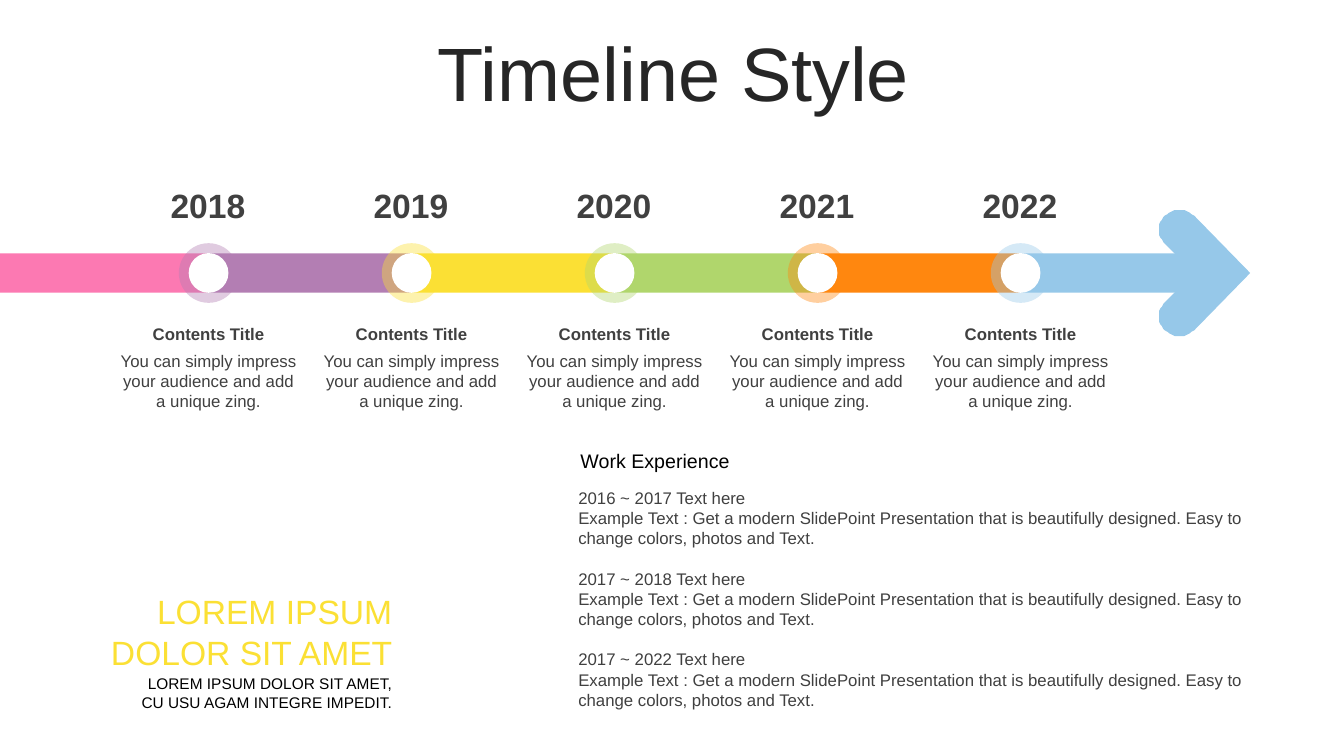
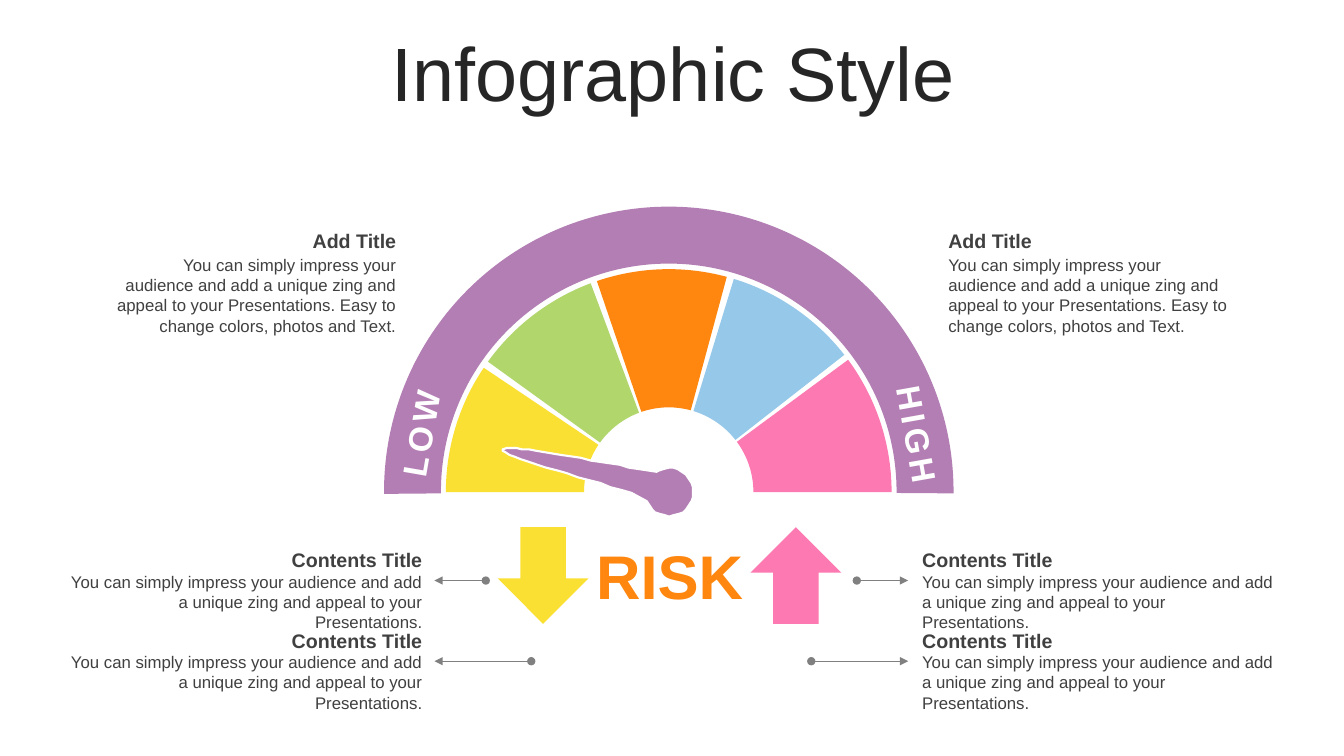
import math
from dataclasses import dataclass

from lxml import etree
from pptx import Presentation
from pptx.dml.color import RGBColor
from pptx.enum.shapes import MSO_CONNECTOR, MSO_SHAPE
from pptx.enum.text import MSO_ANCHOR, MSO_AUTO_SIZE, PP_ALIGN
from pptx.oxml.ns import qn
from pptx.util import Pt

LEFT, CENTER, RIGHT = PP_ALIGN.LEFT, PP_ALIGN.CENTER, PP_ALIGN.RIGHT
TOP, MIDDLE = MSO_ANCHOR.TOP, MSO_ANCHOR.MIDDLE
RECT, OVAL, BLOCK_ARC = MSO_SHAPE.RECTANGLE, MSO_SHAPE.OVAL, MSO_SHAPE.BLOCK_ARC
UP, DOWN = MSO_SHAPE.UP_ARROW, MSO_SHAPE.DOWN_ARROW
STRAIGHT = MSO_CONNECTOR.STRAIGHT

FONT = "Arial"
PINK, PURPLE, YELLOW = "FC79B2", "B37EB3", "FBE034"
GREEN, ORANGE, BLUE = "B0D66C", "FF870F", "96C8E9"
WHITE, BLACK, INK, GREY, TITLE = "FFFFFF", "000000", "404040", "808080", "262626"
IMPRESS = "You can simply impress your audience and add a unique zing"

Point = tuple[float, float]


@dataclass
class Box:
    x: float
    y: float
    w: float
    h: float

    def lengths(self) -> tuple:
        return Pt(self.x), Pt(self.y), Pt(self.w), Pt(self.h)


@dataclass
class Style:
    size: float
    color: str = INK
    bold: bool = False
    align: PP_ALIGN = LEFT
    anchor: MSO_ANCHOR = TOP
    tracking: float = 0


@dataclass
class Milestone:
    year: str
    color: str


@dataclass
class Sector:
    start: float
    end: float
    color: str


@dataclass
class Note:
    title: str
    body: str
    box: Box
    body_drop: float
    align: PP_ALIGN


MILESTONES = [
    Milestone("2018", PURPLE), Milestone("2019", YELLOW), Milestone("2020", GREEN),
    Milestone("2021", ORANGE), Milestone("2022", BLUE),
]
# Clockwise angles, with 0 pointing right
SECTORS = [
    Sector(180, 213.9, YELLOW), Sector(215.8, 249.5, GREEN), Sector(251.2, 285.1, ORANGE),
    Sector(287, 322, BLUE), Sector(323.6, 0, PINK),
]
JOBS = ["2016 ~ 2017 Text here", "2017 ~ 2018 Text here", "2017 ~ 2022 Text here"]
JOB_TEXT = ("Example Text : Get a modern SlidePoint Presentation that is beautifully "
            "designed. Easy to change colors, photos and Text.")


def rgb(color: str) -> RGBColor:
    return RGBColor.from_string(color)


def paint(s, color: str, outline: str = "", alpha: int = 100) -> None:
    s.shadow.inherit = False
    s.fill.solid()
    s.fill.fore_color.rgb = rgb(color)
    if alpha < 100:
        clr = s._element.spPr.find(".//" + qn("a:srgbClr"))
        etree.SubElement(clr, qn("a:alpha")).set("val", str(alpha * 1000))
    if outline:
        s.line.color.rgb = rgb(outline)
        s.line.width = Pt(1.5)
    else:
        s.line.fill.background()


def add_shape(slide, kind: MSO_SHAPE, box: Box, color: str, alpha: int = 100):
    s = slide.shapes.add_shape(kind, *box.lengths())
    paint(s, color, alpha=alpha)
    return s


def add_disc(slide, cx: float, cy: float, d: float, color: str, alpha: int = 100) -> None:
    add_shape(slide, OVAL, Box(cx - d / 2, cy - d / 2, d, d), color, alpha)


def add_arc(slide, cx: float, cy: float, radius: float, start: float, end: float,
            thickness: float, color: str) -> None:
    box = Box(cx - radius, cy - radius, 2 * radius, 2 * radius)
    s = add_shape(slide, BLOCK_ARC, box, color)
    # Angle adjustments count 60000ths of a degree, scaled by 100000
    for i, value in enumerate((start * 0.6, end * 0.6, thickness)):
        s.adjustments[i] = value


def add_outline(slide, points: list[Point], color: str, outline: str = "") -> None:
    fb = slide.shapes.build_freeform(*points[0], scale=Pt(1))
    fb.add_line_segments(points[1:], close=True)
    paint(fb.convert_to_shape(), color, outline)


def arc_points(cx: float, cy: float, r: float, start: float, end: float) -> list[Point]:
    steps = 24
    angles = [math.radians(start + (end - start) * i / steps) for i in range(steps + 1)]
    return [(cx + r * math.cos(a), cy + r * math.sin(a)) for a in angles]


def curve_points(a: Point, b: Point, c: Point, d: Point) -> list[Point]:
    steps = 16
    points = []
    for i in range(steps + 1):
        t = i / steps
        weights = ((1 - t) ** 3, 3 * t * (1 - t) ** 2, 3 * t * t * (1 - t), t ** 3)
        points.append((sum(w * q[0] for w, q in zip(weights, (a, b, c, d))),
                       sum(w * q[1] for w, q in zip(weights, (a, b, c, d)))))
    return points


def write(tf, lines: list[str], style: Style) -> None:
    tf.word_wrap = True
    tf.auto_size = MSO_AUTO_SIZE.NONE
    tf.vertical_anchor = style.anchor
    values = {"name": FONT, "size": Pt(style.size), "bold": style.bold}
    for i, line in enumerate(lines):
        p = tf.add_paragraph() if i else tf.paragraphs[0]
        p.alignment = style.align
        r = p.add_run()
        r.text = line
        for name, value in values.items():
            setattr(r.font, name, value)
        r.font.color.rgb = rgb(style.color)
        if style.tracking:
            r._r.get_or_add_rPr().set("spc", str(round(style.tracking * 100)))


def add_text(slide, box: Box, lines: list[str], style: Style, rotation: float = 0):
    s = slide.shapes.add_textbox(*box.lengths())
    s.rotation = rotation
    write(s.text_frame, lines, style)
    return s


def add_note(slide, note: Note) -> None:
    b = note.box
    add_text(slide, Box(b.x, b.y + note.body_drop, b.w, b.h - note.body_drop),
             [note.body], Style(12, align=note.align))
    add_text(slide, Box(b.x, b.y, b.w, 24.5), [note.title],
             Style(14, bold=True, align=note.align))


def add_pointer(slide, x1: float, x2: float, y: float) -> None:
    s = slide.shapes.add_connector(STRAIGHT, Pt(x1), Pt(y), Pt(x2), Pt(y))
    s.line.color.rgb = rgb(GREY)
    s.line.width = Pt(0.5)
    ln = s.line._get_or_add_ln()
    for tag, kind in (("a:headEnd", "oval"), ("a:tailEnd", "triangle")):
        etree.SubElement(ln, qn(tag)).set("type", kind)
    etree.SubElement(s._element.spPr, qn("a:effectLst"))


def new_slide(prs, title: str):
    slide = prs.slides.add_slide(prs.slide_layouts[5])
    s = slide.shapes.title
    s.left, s.top, s.width, s.height = Box(25.2, 26.6, 911.5, 56.9).lengths()
    write(s.text_frame, [title], Style(54, TITLE, align=CENTER, anchor=MIDDLE))
    s.text_frame.paragraphs[0].line_spacing = 0.9
    return slide


def timeline_slide(prs) -> None:
    slide = new_slide(prs, "Timeline Style")
    first, pitch, mid, bar = 149, 145, 195, 28.2

    # Coloured band and its rounded arrowhead
    add_shape(slide, RECT, Box(0, mid - bar / 2, first, bar), PINK)
    for i, m in enumerate(MILESTONES):
        add_shape(slide, RECT, Box(first - 1 + i * pitch, mid - bar / 2, pitch, bar), m.color)
    lobe_x, lobe_dy, lobe_r, tip_x = 842.4, 31, 14.4, 893
    upper = arc_points(lobe_x, mid - lobe_dy, lobe_r, 315, 135)
    lower = arc_points(lobe_x, mid + lobe_dy, lobe_r, 225, 45)
    notch = (lobe_x + lobe_dy - lobe_r * math.sqrt(2), mid)
    add_outline(slide, upper + [notch] + lower + [(tip_x, mid)], BLUE)

    # Markers, years and captions
    for i, m in enumerate(MILESTONES):
        cx = first + i * pitch
        add_disc(slide, cx, mid, 42.6, m.color, alpha=40)
        add_disc(slide, cx, mid, 28.4, WHITE)
        add_text(slide, Box(cx - 53.5, 128.9, 106, 36), [m.year],
                 Style(24, bold=True, align=CENTER))
        add_text(slide, Box(cx - 72, 247, 144, 51), [IMPRESS + "."], Style(12, align=CENTER))
        add_text(slide, Box(cx - 72, 227.5, 144, 22), ["Contents Title"],
                 Style(12, bold=True, align=CENTER))

    # Headline at lower left
    add_text(slide, Box(53.3, 478, 234, 34),
             ["LOREM IPSUM DOLOR SIT AMET,", "CU USU AGAM INTEGRE IMPEDIT."],
             Style(11, BLACK, align=RIGHT, anchor=MIDDLE))
    add_text(slide, Box(53.3, 418.3, 234, 65.5), ["LOREM IPSUM", "DOLOR SIT AMET"],
             Style(24, YELLOW, align=RIGHT, anchor=MIDDLE))

    # Work experience
    add_text(slide, Box(407.5, 316.8, 510.5, 24.5), ["Work Experience"], Style(14, BLACK))
    lines = [line for job in JOBS for line in (job, JOB_TEXT)]
    s = add_text(slide, Box(406, 344.9, 513.4, 167), lines, Style(12))
    for p in s.text_frame.paragraphs[2::2]:
        p.space_before = Pt(14.4)


def gauge_slide(prs) -> None:
    slide = new_slide(prs, "Infographic Style")

    # Gauge sectors and outer ring
    cx, cy = 477.7, 351.5
    for sec in SECTORS:
        add_arc(slide, cx, cy, 159.2, sec.start, sec.end, 0.31, sec.color)
    add_arc(slide, cx, cy - 0.5, 203.4, 179.5, 0.4, 0.1, PURPLE)

    # Needle with its hub
    tip = (362.2, 319.7)
    needle = curve_points(tip, (375.8, 319.7), (421.9, 329), (455.8, 334.8))
    needle += [(468.7, 337)] + arc_points(478, 351.4, 17.3, 246, 518)
    needle += curve_points((451.4, 352.1), (413.3, 340.6), (357.8, 325.4), (358.6, 321.1))
    add_outline(slide, needle, PURPLE, outline=WHITE)

    # Gauge labels and arrows
    add_text(slide, Box(415.4, 380.9, 126, 60.5), ["RISK"],
             Style(44, ORANGE, bold=True, align=CENTER))
    add_text(slide, Box(257.8, 286.6, 86.4, 36), ["LOW"],
             Style(24, WHITE, bold=True, tracking=3), rotation=279.9)
    add_text(slide, Box(609.8, 288.7, 90, 36), ["HIGH"],
             Style(24, WHITE, bold=True, align=RIGHT, tracking=3), rotation=79.9)
    for kind, x, color in ((UP, 536, PINK), (DOWN, 355.4, YELLOW)):
        add_shape(slide, kind, Box(x, 376.6, 65, 69), color)

    # Pointers, mirrored about the middle
    axis, reach = 479.5, 169.2
    for start, y in ((132.5, 414.7), (100, 472.3)):
        for side in (1, -1):
            add_pointer(slide, axis + side * start, axis + side * reach, y)

    # Notes on both sides
    appeal = IMPRESS + " and appeal to your Presentations."
    more = appeal + " Easy to change colors, photos and Text."
    for x, w, align in ((41.8, 267, RIGHT), (651.6, 266.4, LEFT)):
        for y in (388, 445.6):
            add_note(slide, Note("Contents Title", appeal, Box(x, y, w, 68), 16.6, align))
    for x, w, align in ((74.9, 215.3, RIGHT), (670.3, 213.8, LEFT)):
        add_note(slide, Note("Add Title", more, Box(x, 159.8, w, 84), 18.7, align))


def main() -> None:
    prs = Presentation()
    prs.slide_width, prs.slide_height = Pt(960), Pt(540)
    timeline_slide(prs)
    gauge_slide(prs)
    prs.save("out.pptx")


if __name__ == "__main__":
    main()
